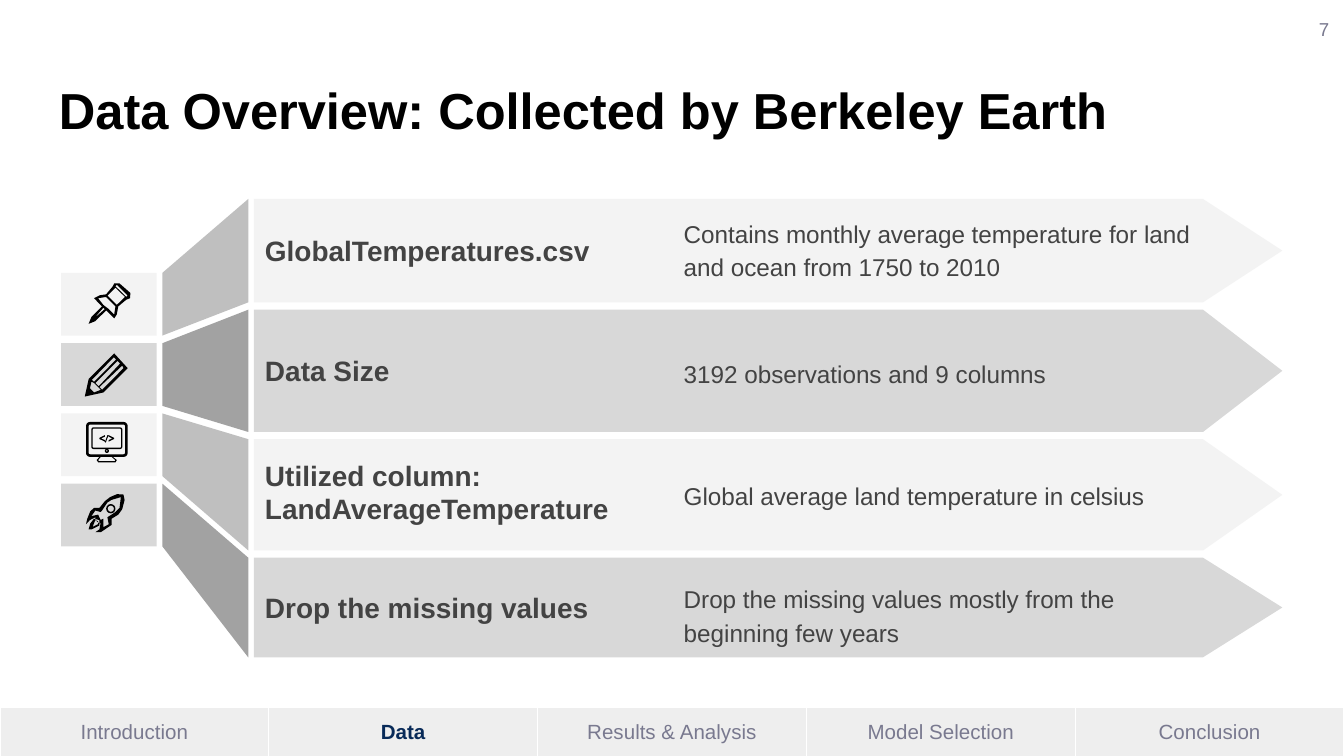
from lxml import etree
from pptx import Presentation
from pptx.dml.color import RGBColor
from pptx.enum.shapes import MSO_SHAPE
from pptx.enum.text import MSO_ANCHOR, PP_ALIGN
from pptx.oxml.ns import qn
from pptx.util import Pt

RECTANGLE = MSO_SHAPE.RECTANGLE
ROUNDED = MSO_SHAPE.ROUNDED_RECTANGLE
OVAL = MSO_SHAPE.OVAL
TOP, MIDDLE = MSO_ANCHOR.TOP, MSO_ANCHOR.MIDDLE
LEFT, CENTER, RIGHT = PP_ALIGN.LEFT, PP_ALIGN.CENTER, PP_ALIGN.RIGHT

FONT = "Arial"
COLORS = {
    "black": "000000", "text": "434343", "muted": "79798F", "active": "082A58",
    "white": "FFFFFF", "nav": "EEEEEE", "light": "F3F3F3", "mid": "D8D8D8",
    "light_facet": "BFBFBF", "mid_facet": "A2A2A2",
}

SECTIONS = ["Introduction", "Data", "Results & Analysis", "Model Selection", "Conclusion"]
ACTIVE_SECTION = "Data"

# heading lines, detail, band height, heading middle, detail middle
ROWS = [
    (["GlobalTemperatures.csv"],
     "Contains monthly average temperature for land and ocean from 1750 to 2010",
     55.4, 134.3, 132.8),
    (["Data Size"], "3192 observations and 9 columns", 65.5, 198.4, 199.1),
    (["Utilized column:", "LandAverageTemperature"],
     "Global average land temperature in celsius", 59.6, 263.5, 264.6),
    (["Drop the missing values"],
     "Drop the missing values mostly from the beginning few years",
     53.4, 325.1, 328.7),
]
BAND_TOP, BAND_GAP = 106.6, 3.9
BAND_LEFT, BAND_SHOULDER, BAND_TIP = 136, 644.5, 687
FACET_LEFT, FACET_RIGHT = 87, 133
TAB_LEFT, TAB_TOP, TAB_WIDTH, TAB_HEIGHT, TAB_PITCH = 32.8, 146.2, 51.2, 33.6, 37.65

# Icon contours are offsets from the middle of a tab; inner contours cut holes.
PIN = [
    [(5, 1.2), (9.3, -2.4), (11.3, -3.2), (11.5, -6), (5.7, -11.1), (2.8, -11.1),
     (2.1, -9.6), (-1.5, -5.3), (-4.9, -4.8), (-8, -3.2), (-3.7, 1.2), (-9.4, 6.9),
     (-10.9, 10.5), (-7.3, 9.1), (-1.5, 3.3), (2.8, 7.6), (4.2, 5.5)],
    [(4.2, -10.4), (10, -4.6), (9.3, -3.9), (3.5, -9.6)],
    [(4.2, 0.4), (-0.8, -4.6), (3.5, -8.9), (8.6, -3.9)],
    [(-0.1, 2.6), (-3, 0.4), (-5.8, -3.2), (-1.5, -3.9), (3.5, 1.2), (2.8, 5.5)],
    [(-8, 7.6), (-3, 1.9), (-2.2, 2.6)],
]
PENCIL = [
    [(10, -3.4), (2.8, -11.3), (-10.9, 2.4), (-13, 11.8), (-3, 9.6)],
    [(-3.7, 8.2), (-5.1, 6.7), (7.1, -4.8), (7.8, -3.4)],
    [(-8, 9.6), (-10.2, 7.4), (-9.4, 3.8), (-8, 4.5), (-5.1, 7.4), (-4.4, 8.2)],
    [(6, -5.9), (-5.5, 6.3), (-7.3, 4.5), (4.6, -7.3)],
    [(2.6, -9.3), (3.8, -8), (-8, 3.9), (-9.2, 2.9)],
]
BRACKET = [(-5.1, -3.7), (-2.2, -5.2), (-2.2, -4.4), (-4.2, -3.4), (-2.2, -2.5),
           (-2.2, -1.7), (-5.1, -3.1)]
MONITOR = [
    [(-5.1, 6.5), (-6.6, 8.2), (-5.8, 9.4), (3.5, 9.4), (4.2, 8.2), (2.1, 6.5)],
    [(-4.4, 6.5), (-5.8, 8.2), (-5.4, 8.7), (3.1, 8.7), (3.4, 8.2), (1.4, 6.5)],
    BRACKET,
    [(-2.4 - x, y) for x, y in BRACKET],
    [(-0.8, -5.2), (-0.3, -5), (-1.7, -1.2), (-2.2, -1.4)],
]
ROCKET = [
    [(-12.3, 4.9), (-11.6, 2), (-10, -2), (-8, -3.8), (-5.1, -3.8), (-2.2, -7.4),
     (0.6, -9.6), (4.4, -11.2), (7.8, -11), (8.4, -8), (7.1, -3.1), (5, -0.2),
     (1.4, 2), (1.4, 5.3), (-4.4, 9.2), (-7.3, 9.2), (-5.1, 7.7), (-4.4, 4.1),
     (-5.1, 4.6), (-7.3, 2.6), (-7.3, 1.2), (-10.2, 2.7)],
    [(1.4, -8.1), (-0.8, -6.7), (-3.7, -2.4), (-4.4, -1.6), (-7.3, -2.4), (-9.4, 0.6),
     (-5.8, -0.2), (-5.1, 1.2), (-4.4, 2.6), (-3, 2), (-3, 3.4), (-3, 6.5), (-0.1, 5),
     (-0.8, 1.2), (3.5, -1.6), (5.7, -3.8), (6.4, -9.6)],
    [(-10.9, 7.7), (-10, 4.5), (-8, 2), (-5.1, 2.7), (-5.1, 5.6), (-9.4, 7.7)],
    [(-5.8, 3.4), (-7.3, 2.7), (-8.7, 6.3), (-5.8, 4.9)],
]
# kind, left, top, width, height, line width
MONITOR_RINGS = [(ROUNDED, -11.6, -11.5, 20.9, 17.3, 1.4),
                 (ROUNDED, -9.1, -9, 15.9, 10.9, 0.7), (OVAL, -1.9, 2.5, 1.5, 1.5, 0.7)]
ROCKET_RINGS = [(OVAL, -1.1, -5.5, 4.2, 4.2, 0.8)]
ICONS = [(PIN, []), (PENCIL, []), (MONITOR, MONITOR_RINGS), (ROCKET, ROCKET_RINGS)]


def rgb(name):
    return RGBColor.from_string(COLORS[name])


def add_span(para, text, size, color, bold=False):
    span = para.add_run()
    span.text = text
    span.font.name, span.font.size = FONT, Pt(size)
    span.font.bold, span.font.color.rgb = bold, rgb(color)


def add_text(page, lines, left, top, width, height, size, color, bold=False,
             align=LEFT, anchor=MIDDLE, inset=0, spacing=None):
    box = page.shapes.add_textbox(Pt(left), Pt(top), Pt(width), Pt(height))
    frame = box.text_frame
    frame.word_wrap, frame.vertical_anchor = True, anchor
    frame.margin_left = frame.margin_right = Pt(inset)
    frame.margin_top = frame.margin_bottom = Pt(inset)
    for index, line in enumerate(lines):
        para = frame.add_paragraph() if index else frame.paragraphs[0]
        para.alignment, para.line_spacing = align, spacing
        add_span(para, line, size, color, bold)


def paint(shape, color):
    shape.shadow.inherit = False
    shape.fill.solid()
    shape.fill.fore_color.rgb = rgb(color)
    shape.line.fill.background()


def add_outline(page, contours, color, x=0, y=0):
    """Fill closed contours, given as offsets from (x, y)."""
    places = [[(Pt(x + dx), Pt(y + dy)) for dx, dy in contour] for contour in contours]
    builder = page.shapes.build_freeform(*places[0][0])
    for index, (start, *others) in enumerate(places):
        if index:
            builder.move_to(*start)
        builder.add_line_segments(others, close=True)
    paint(builder.convert_to_shape(), color)


def add_ring(page, x, y, kind, left, top, width, height, weight):
    ring = page.shapes.add_shape(kind, Pt(x + left), Pt(y + top), Pt(width), Pt(height))
    ring.shadow.inherit = False
    ring.fill.background()
    ring.line.color.rgb, ring.line.width = rgb("black"), Pt(weight)
    if kind == ROUNDED:
        ring.adjustments[0] = 0.08


def add_tab(page, index, color):
    top = TAB_TOP + index * TAB_PITCH
    tab = page.shapes.add_shape(RECTANGLE, Pt(TAB_LEFT), Pt(top), Pt(TAB_WIDTH), Pt(TAB_HEIGHT))
    paint(tab, color)
    x, y = TAB_LEFT + TAB_WIDTH / 2, top + TAB_HEIGHT / 2
    contours, rings = ICONS[index]
    add_outline(page, contours, "black", x, y)
    for ring in rings:
        add_ring(page, x, y, *ring)


def add_band(page, index, top):
    """Draw one row: tab, slanted facet, arrow band and its texts."""
    heading, detail, height, heading_middle, detail_middle = ROWS[index]
    tone = "mid" if index % 2 else "light"
    bottom, tab_top = top + height, TAB_TOP + index * TAB_PITCH
    add_outline(page, [[(FACET_LEFT, tab_top + TAB_HEIGHT), (FACET_RIGHT, bottom),
                        (FACET_RIGHT, top), (FACET_LEFT, tab_top)]], tone + "_facet")
    add_tab(page, index, tone)
    add_outline(page, [[(BAND_LEFT, top), (BAND_SHOULDER, top), (BAND_TIP, top + height / 2),
                        (BAND_SHOULDER, bottom), (BAND_LEFT, bottom)]], tone)
    add_text(page, heading, 142, heading_middle - 18, 216, 36, 15, "text", bold=True)
    add_text(page, [detail], 366.3, detail_middle - 19, 281, 38, 13, "text", spacing=1.15)


def set_borders(cell, color, width):
    properties = cell._tc.get_or_add_tcPr()
    for index, side in enumerate(("lnL", "lnR", "lnT", "lnB")):
        line = etree.Element(qn("a:" + side), w=str(Pt(width)))
        fill = etree.SubElement(line, qn("a:solidFill"))
        etree.SubElement(fill, qn("a:srgbClr"), val=COLORS[color])
        properties.insert(index, line)


def add_navigation(page):
    table = page.shapes.add_table(1, len(SECTIONS), Pt(0), Pt(378.7), Pt(720), Pt(27)).table
    for cell, section in zip(table.rows[0].cells, SECTIONS):
        active = section == ACTIVE_SECTION
        cell.fill.solid()
        cell.fill.fore_color.rgb = rgb("nav")
        cell.vertical_anchor = MIDDLE
        cell.margin_left = cell.margin_right = cell.margin_top = cell.margin_bottom = Pt(7.2)
        para = cell.text_frame.paragraphs[0]
        para.alignment = CENTER
        add_span(para, section, 11, "active" if active else "muted", active)
        set_borders(cell, "white", 0.75)


def main():
    deck = Presentation()
    deck.slide_width, deck.slide_height = Pt(720), Pt(405)
    page = deck.slides.add_slide(deck.slide_layouts[6])
    add_text(page, ["Data Overview: Collected by Berkeley Earth"], 24.5, 35.3, 671, 45.4,
             27.1, "black", bold=True, anchor=TOP, inset=7.2)
    add_navigation(page)
    top = BAND_TOP
    for index, row in enumerate(ROWS):
        add_band(page, index, top)
        top += row[2] + BAND_GAP
    add_text(page, ["7"], 676, 0, 43.2, 31, 10, "muted", align=RIGHT, inset=7.2)
    deck.save("out.pptx")


if __name__ == "__main__":
    main()
